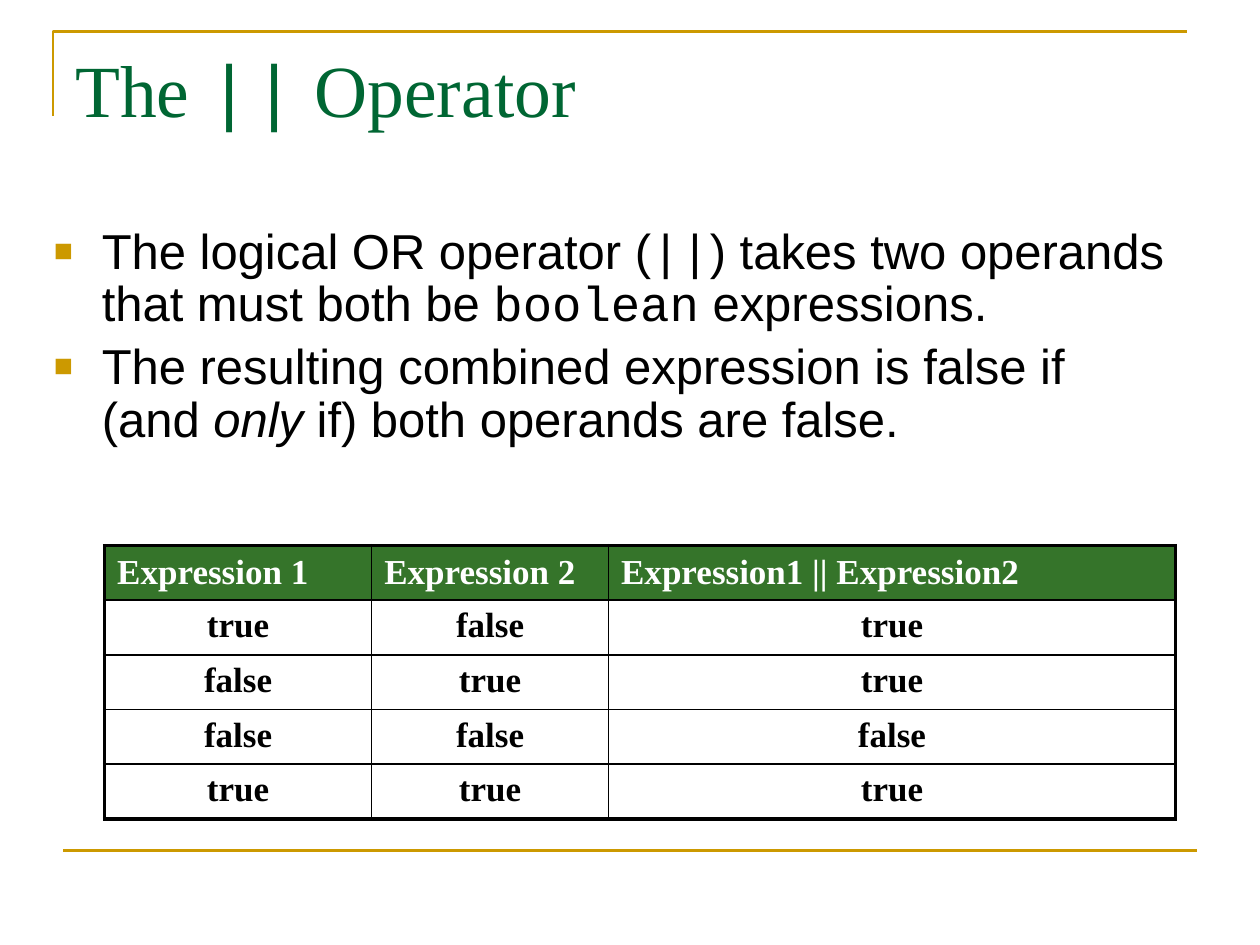
from lxml import etree
from pptx import Presentation
from pptx.dml.color import RGBColor
from pptx.enum.shapes import MSO_CONNECTOR
from pptx.enum.text import MSO_ANCHOR, PP_ALIGN
from pptx.oxml.ns import qn
from pptx.util import Inches, Pt

STRAIGHT = MSO_CONNECTOR.STRAIGHT
MIDDLE, TOP = MSO_ANCHOR.MIDDLE, MSO_ANCHOR.TOP
LEFT, CENTER = PP_ALIGN.LEFT, PP_ALIGN.CENTER
GOLD = RGBColor(0xCC, 0x99, 0x00)
TITLE_GREEN = RGBColor(0x00, 0x66, 0x33)
HEADER_GREEN = RGBColor(0x35, 0x74, 0x2A)
BLACK = RGBColor(0, 0, 0)
WHITE = RGBColor(255, 255, 255)
SERIF, SANS, MONO = "Times New Roman", "Arial", "Courier New"


def add_spans(para, spans, size, color):
    for text, font_name, italic in spans:
        span = para.add_run()
        span.text = text
        span.font.name = font_name
        span.font.size = Pt(size)
        span.font.italic = italic
        span.font.color.rgb = color


def set_border(cell, side, width):
    line = etree.SubElement(cell._tc.get_or_add_tcPr(), qn(f"a:ln{side}"), w=str(Pt(width)))
    fill = etree.SubElement(line, qn("a:solidFill"))
    etree.SubElement(fill, qn("a:srgbClr"), val=str(BLACK))


deck = Presentation()
deck.slide_width = Inches(10)
deck.slide_height = Inches(7.5)
page = deck.slides.add_slide(deck.slide_layouts[6])

builder = page.shapes.build_freeform(Inches(0.42), Inches(0.92))
builder.add_line_segments([(Inches(0.42), Inches(0.25)), (Inches(9.42), Inches(0.25))], close=False)
corner = builder.convert_to_shape()
corner.shadow.inherit = False
corner.fill.background()

footer_line = page.shapes.add_connector(STRAIGHT, Inches(0.5), Inches(6.75), Inches(9.5), Inches(6.75))
etree.SubElement(footer_line._element.spPr, qn("a:effectLst"))
for rule in (corner, footer_line):
    rule.line.color.rgb = GOLD
    rule.line.width = Pt(1.5)

title = page.shapes.add_textbox(Inches(0.5), Inches(0.3), Inches(9), Inches(1.25))
title.text_frame.word_wrap = True
title_spans = [("The ", SERIF, False), ("||", MONO, False), (" Operator", SERIF, False)]
add_spans(title.text_frame.paragraphs[0], title_spans, 42, TITLE_GREEN)

bullets = [
    [
        ("The logical OR operator (", SANS, False),
        ("||", MONO, False),
        (") takes two operands that must both be ", SANS, False),
        ("boolean", MONO, False),
        (" expressions.", SANS, False),
    ],
    [
        ("The resulting combined expression is false if (and ", SANS, False),
        ("only", SANS, True),
        (" if) both operands are false.", SANS, False),
    ],
]
body = page.shapes.add_textbox(Inches(0.33), Inches(1.75), Inches(9.07), Inches(2.42))
body.text_frame.word_wrap = True
for index, spans in enumerate(bullets):
    para = body.text_frame.paragraphs[0] if index == 0 else body.text_frame.add_paragraph()
    para.line_spacing = 0.9
    para.space_before = Pt(5.6 if index else 0)
    properties = para._p.get_or_add_pPr()
    properties.set("marL", str(Inches(0.38)))
    properties.set("indent", str(-Inches(0.38)))
    bullet_color = etree.SubElement(properties, qn("a:buClr"))
    etree.SubElement(bullet_color, qn("a:srgbClr"), val=str(GOLD))
    etree.SubElement(properties, qn("a:buSzPct"), val="65000")
    etree.SubElement(properties, qn("a:buFont"), typeface=SANS)
    etree.SubElement(properties, qn("a:buChar"), char="■")
    add_spans(para, spans, 28, BLACK)

rows = [
    ("Expression 1", "Expression 2", "Expression1 || Expression2"),
    ("true", "false", "true"),
    ("false", "true", "true"),
    ("false", "false", "false"),
    ("true", "true", "true"),
]
column_widths = [2.12, 1.88, 4.5]
last_row, last_column = len(rows) - 1, len(column_widths) - 1
table = page.shapes.add_table(
    len(rows), len(column_widths), Inches(0.83), Inches(4.33), Inches(8.5), Inches(2.05)
).table
for column, width in zip(table.columns, column_widths):
    column.width = Inches(width)
for row_index, texts in enumerate(rows):
    table.rows[row_index].height = Inches(0.41)
    is_header = row_index == 0
    for column_index, text in enumerate(texts):
        cell = table.cell(row_index, column_index)
        cell.vertical_anchor = MIDDLE if is_header else TOP
        outer_sides = {
            "L": column_index == 0,
            "R": column_index == last_column,
            "T": is_header,
            "B": row_index == last_row,
        }
        for side, is_outer in outer_sides.items():
            set_border(cell, side, 2.25 if is_outer else 1)
        if is_header:
            cell.fill.solid()
            cell.fill.fore_color.rgb = HEADER_GREEN
        else:
            cell.fill.background()
        cell.text_frame.text = text
        para = cell.text_frame.paragraphs[0]
        para.alignment = LEFT if is_header else CENTER
        font = para.runs[0].font
        font.name = SERIF
        font.size = Pt(20)
        font.bold = True
        font.color.rgb = WHITE if is_header else BLACK

deck.save("out.pptx")
